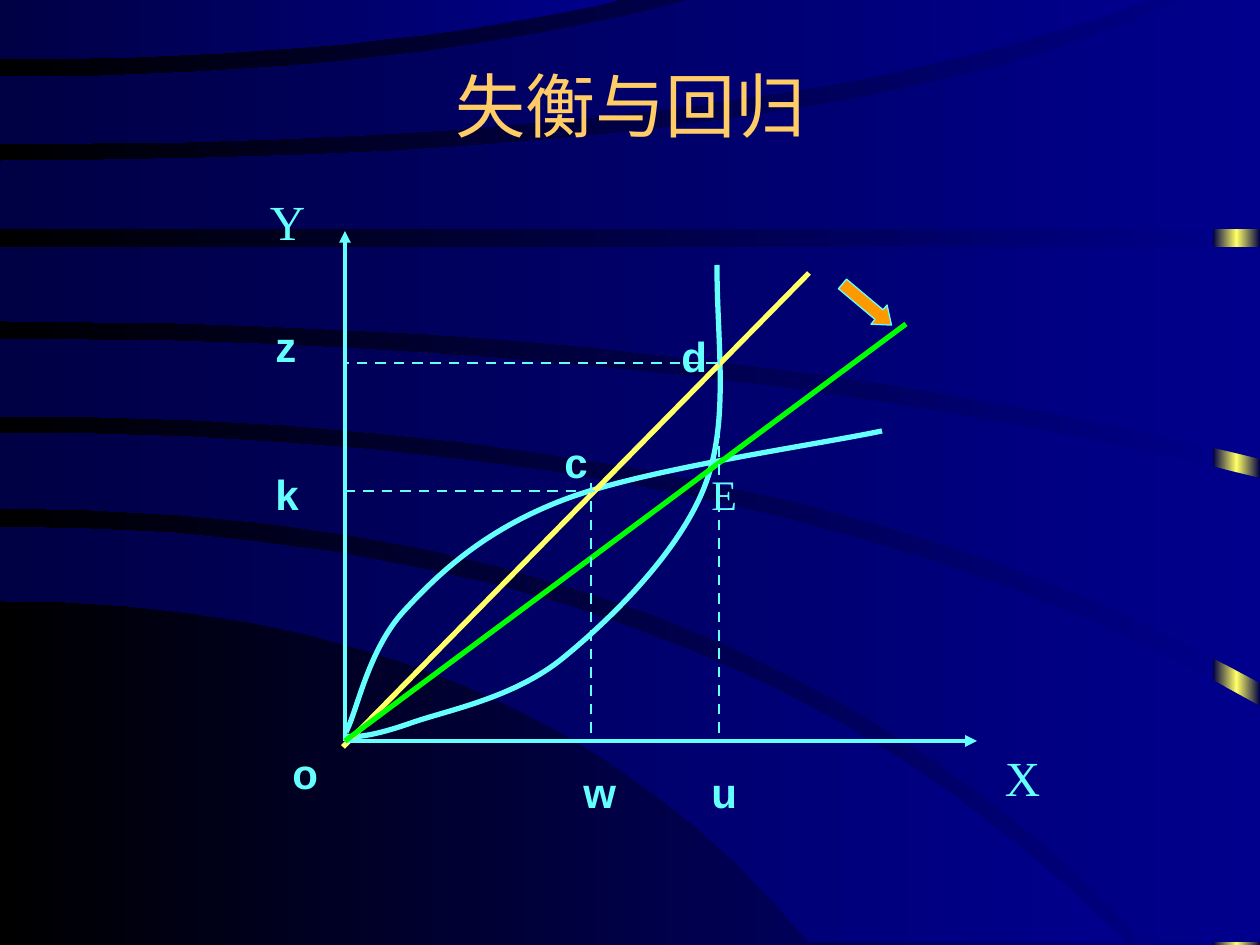
"""Build the slide on imbalance and regression with its wave background."""
from copy import deepcopy
from lxml.etree import SubElement
from pptx import Presentation
from pptx.dml.color import RGBColor
from pptx.enum.dml import MSO_LINE
from pptx.enum.shapes import MSO_CONNECTOR, MSO_SHAPE
from pptx.enum.text import MSO_ANCHOR, PP_ALIGN
from pptx.oxml.ns import qn
from pptx.util import Pt

PX = 914400 / 126
W, H = 1260, 945
CYAN, YELLOW, GREEN, ORANGE, GOLD = "66FFFF", "FFFF66", "00FF00", "FF9900", "FFCC66"
BLUE, NAVY, BLACK = "00008C", "000044", "000000"
SANS, SERIF, CJK = "Arial", "Times New Roman", "Noto Sans CJK SC"


def paint(color, value):
    color.rgb = RGBColor.from_string(value)


def shade(fill, *values):
    fill.gradient()
    fill.gradient_angle = 180
    for stop, value in zip(fill.gradient_stops, values):
        paint(stop.color, value)


prs = Presentation()
prs.slide_width, prs.slide_height = round(W * PX), round(H * PX)
slide = prs.slides.add_slide(prs.slide_layouts[6])
shapes = slide.shapes
shade(slide.background.fill, BLUE, BLACK)

strip = shapes.add_shape(MSO_SHAPE.RECTANGLE, *[round(v * PX) for v in (1213, 0, 47, H)])
strip.shadow.inherit = False
strip.line.fill.background()
shade(strip.fill, NAVY, NAVY)
first = strip.element.spPr.find(".//" + qn("a:gs"))
middle = deepcopy(first)
middle.set("pos", "50000")
first.addnext(middle)
paint(strip.fill.gradient_stops[1].color, YELLOW)

waves = [
    ((527, 718, 1125, 942), (601, 528, 809, 942)),
    ((433, 792, W, 706), (508, 742, 1145, 942)),
    ((339, 704, W, 478), (416, 794, W, 683)),
    ((247, 630, W, 247), (321, 708, W, 459)),
    ((161, 854, 1188, -3), (229, 630, W, 229)),
    ((77, 406, 701, -3), (144, 782, 1155, -3)),
    ((-3, 316, 631, -3), (59, 376, 631, -3)),
]
steps = [i / 16 for i in range(17)]
for wave_edges in waves:
    top, bottom = [
        [(round(2 * t * (1 - t) * bend + t * t * x), round(y0 + t * t * (y - y0))) for t in steps]
        for y0, bend, x, y in wave_edges
    ]
    (top_x, top_y), (bottom_x, bottom_y) = top[-1], bottom[-1]
    corner = (max(top_x, bottom_x), top_y if bottom_x > top_x else bottom_y)
    fb = shapes.build_freeform(*top[0], scale=PX)
    fb.add_line_segments(top[1:] + [corner] + bottom[::-1], close=True)
    wave = fb.convert_to_shape()
    wave.shadow.inherit = False
    wave.line.fill.background()
    shade(wave.fill, BLUE, NAVY)

curves = [
    [(346, 732), (357, 712), (368, 650), (404, 611), (486, 529), (566, 499),
     (816, 445), (882, 431)],
    [(346, 736), (354, 738), (374, 736), (411, 723), (514, 698), (563, 658),
     (678, 553), (704, 488), (717, 345), (717, 265)],
]
for nodes in curves:
    points = nodes[:4]
    for pair in zip(nodes[4::2], nodes[5::2]):
        (hx, hy), (x, y) = points[-2:]
        points += [(2 * x - hx, 2 * y - hy), *pair]
    fb = shapes.build_freeform(*points[0], scale=PX)
    fb.add_line_segments(points[1:], close=False)
    curve = fb.convert_to_shape()
    curve.shadow.inherit = False
    curve.fill.background()
    paint(curve.line.color, CYAN)
    curve.line.width = Pt(3)
    outline = curve.element.spPr.find(".//" + qn("a:path"))
    segments = outline.findall(qn("a:lnTo"))
    for i in range(0, len(segments), 3):
        bezier = SubElement(outline, qn("a:cubicBezTo"))
        for segment in segments[i:i + 3]:
            bezier.append(segment[0])
            outline.remove(segment)

origin = (345, 741)
lines = [
    ((343, 747), (809, 273), YELLOW, 3, ""),
    (origin, (345, 231), CYAN, 2.25, "arrow"),
    (origin, (977, 741), CYAN, 2.25, "arrow"),
    (origin, (906, 324), GREEN, 3, ""),
    ((591, 483), (591, 743), CYAN, 1.5, "dash"),
    ((717, 363), (343, 363), CYAN, 1.5, "dash"),
    ((719, 354), (719, 740), CYAN, 1.5, "dash"),
    ((345, 491), (602, 491), CYAN, 1.5, "dash"),
]
for start, end, color, width, style in lines:
    c = shapes.add_connector(MSO_CONNECTOR.STRAIGHT, *[round(v * PX) for v in start + end])
    paint(c.line.color, color)
    c.line.width = Pt(width)
    if style == "dash":
        c.line.dash_style = MSO_LINE.DASH
    if style == "arrow":
        SubElement(c.element.spPr.find(qn("a:ln")), qn("a:tailEnd"), type="triangle")
    SubElement(c.element.spPr, qn("a:effectLst"))

arrow = shapes.add_shape(MSO_SHAPE.RIGHT_ARROW, *[round(v * PX) for v in (835, 292, 64, 25)])
arrow.rotation = 40
arrow.adjustments[1] = 0.65
arrow.shadow.inherit = False
arrow.fill.solid()
paint(arrow.fill.fore_color, ORANGE)
paint(arrow.line.color, CYAN)
arrow.line.width = Pt(0.75)

label_groups = [
    (CJK, 40, GOLD, (1071, 158), [("失衡与回归", 95, 26)]),
    (SANS, 24, CYAN, (64, 63), [("w", 571, 760), ("o", 280, 741), ("c", 552, 430), ("d", 669, 324),
                                ("z", 263, 314), ("u", 699, 760), ("k", 263, 462)]),
    (SERIF, 24, CYAN, (94, 63), [("E", 699, 462)]),
    (SERIF, 28, CYAN, (89, 72), [("X", 978, 741), ("Y", 243, 185)]),
]
for font, size, color, box, labels in label_groups:
    for text, x, y in labels:
        tf = shapes.add_textbox(*[round(v * PX) for v in (x, y, *box)]).text_frame
        tf.word_wrap = True
        tf.vertical_anchor = MSO_ANCHOR.MIDDLE if font == CJK else MSO_ANCHOR.TOP
        p = tf.paragraphs[0]
        p.text = text
        p.alignment = PP_ALIGN.CENTER if size > 24 else PP_ALIGN.LEFT
        r = p.runs[0]
        r.font.name, r.font.size, r.font.bold = font, Pt(size), font == SANS
        paint(r.font.color, color)
        if font == CJK:
            SubElement(p.runs[0].font._element, qn("a:ea"), typeface=CJK)

prs.save("out.pptx")
